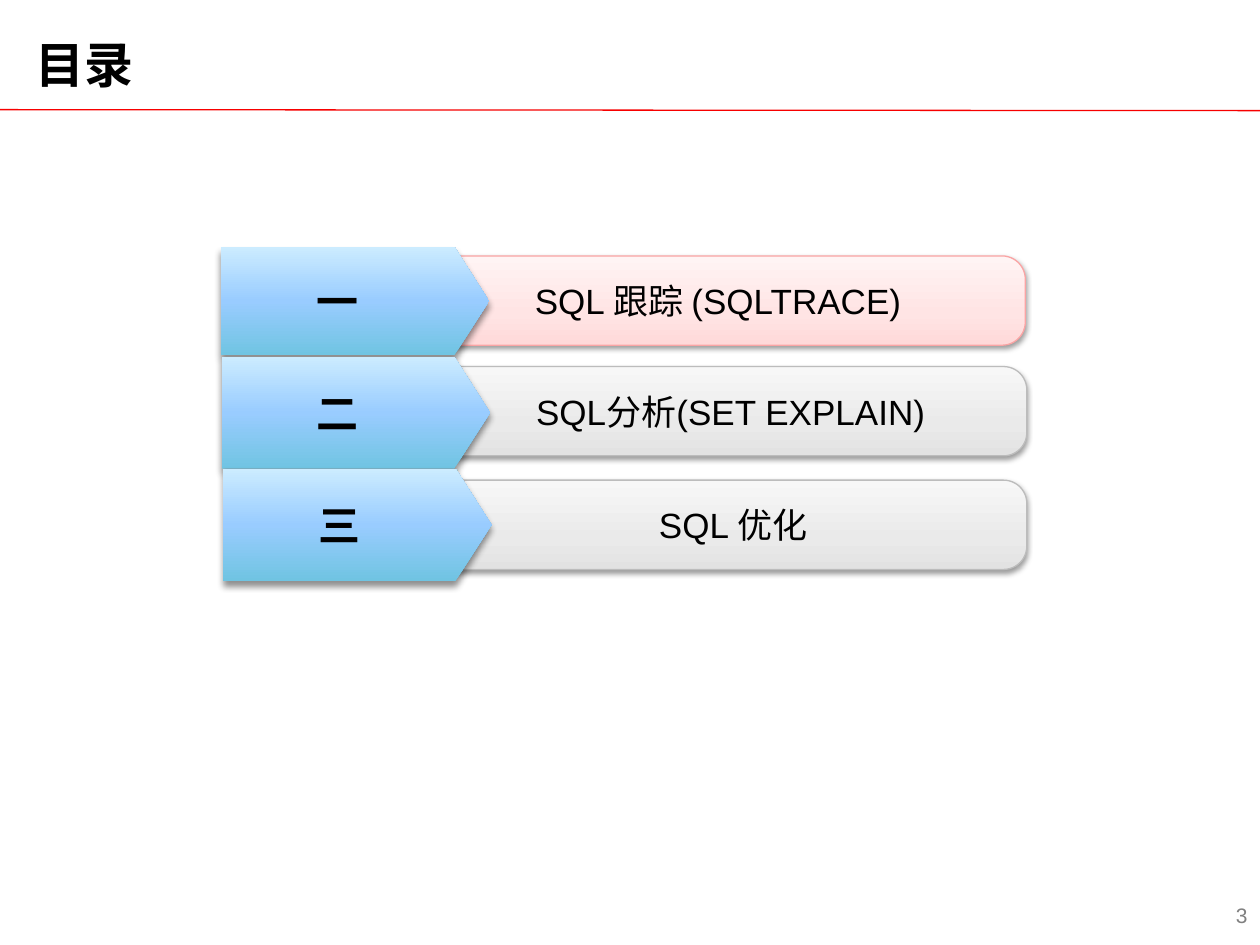
import lxml.etree
import pptx
import pptx.dml.color
import pptx.enum.shapes
import pptx.enum.text
import pptx.oxml
import pptx.oxml.ns
import pptx.util

Cm = pptx.util.Cm
Shapes = pptx.enum.shapes.MSO_SHAPE
Align = pptx.enum.text.PP_ALIGN
qn = pptx.oxml.ns.qn


def color(value):
    return pptx.dml.color.RGBColor.from_string(value)


def write(shape, text, font, size, align, bold=False, ink="000000"):
    frame = shape.text_frame
    frame.word_wrap = True
    frame.vertical_anchor = pptx.enum.text.MSO_ANCHOR.MIDDLE
    para = frame.paragraphs[0]
    para.text = text
    para.alignment = align
    para.font.name = font
    para.font.size = pptx.util.Pt(size)
    para.font.bold = bold
    para.font.color.rgb = color(ink)
    # Chinese glyphs
    for span in para.runs:
        properties = span.font._element
        east_asian = lxml.etree.SubElement(properties, qn("a:ea"))
        east_asian.set("typeface", "Noto Sans CJK SC")


deck = pptx.Presentation()
deck.slide_width, deck.slide_height = Cm(25.4), Cm(19.05)
page = deck.slides.add_slide(deck.slide_layouts[6])

# Rule below the title
rule = page.shapes.add_connector(
    pptx.enum.shapes.MSO_CONNECTOR.STRAIGHT, 0, Cm(2.21), Cm(25.4), Cm(2.23))
rule.line.color.rgb = color("F70000")
rule.line.width = pptx.util.Pt(0.75)
lxml.etree.SubElement(rule._element.spPr, qn("a:effectLst"))

# Gradient stops run from bottom to top
red = [(0, "FFD9D9"), (35, "FFE4E4"), (100, "FFF4F4")]
grey = [(0, "E2E2E2"), (35, "EAEAEA"), (100, "F7F7F7")]
blue = [(0, "70C4E2"), (50, "99CCFF"), (100, "CCECFF")]

# Each chapter: number, name, name inset, bar fill and line,
# bar left and top, arrow left, top and height
chapters = [
    ("一", "SQL 跟踪 (SQLTRACE)", 0.86, red, "FAA4A4", 7.67, 5.16, 4.45, 4.98, 2.18),
    ("二", "SQL分析(SET EXPLAIN)", 1.31, grey, "BCBCBC", 7.7, 7.39, 4.47, 7.19, 2.26),
    ("三", "SQL 优化", 1.42, grey, "BCBCBC", 7.7, 9.68, 4.5, 9.45, 2.26),
]
for (number, name, inset, bar_fill, edge, bar_left, bar_top,
     arrow_left, arrow_top, arrow_height) in chapters:
    bar = page.shapes.add_shape(
        Shapes.ROUNDED_RECTANGLE, Cm(bar_left), Cm(bar_top), Cm(13), Cm(1.8))
    bar.adjustments[0] = 0.26
    bar.line.color.rgb = color(edge)
    bar.line.width = pptx.util.Pt(0.75)
    bar.text_frame.margin_left = Cm(inset)
    write(bar, name, "Arial", 20, Align.CENTER)

    arrow = page.shapes.add_shape(
        Shapes.RIGHT_ARROW, Cm(arrow_left), Cm(arrow_top), Cm(5.41), Cm(arrow_height))
    arrow.adjustments[0] = 1
    arrow.adjustments[1] = 0.32
    arrow.line.fill.background()
    write(arrow, number, "Noto Sans CJK SC", 24, Align.CENTER, bold=True)

    # Gradient and soft shadow: opacity in percent, blur and distance in points
    for shape, stops, opacity, blur, distance in (
            (bar, bar_fill, 38, 3.1, 1.6), (arrow, blue, 43, 4, 3)):
        shape.fill.gradient()
        shape.fill.gradient_angle = 90
        stop_list = shape._element.spPr.find(".//" + qn("a:gsLst"))
        for old_stop in list(stop_list):
            stop_list.remove(old_stop)
        for position, value in stops:
            stop = lxml.etree.SubElement(stop_list, qn("a:gs"), pos=str(position * 1000))
            lxml.etree.SubElement(stop, qn("a:srgbClr"), val=value)
        shape.shadow.inherit = False
        effects = shape._element.spPr.find(qn("a:effectLst"))
        shadow = lxml.etree.SubElement(
            effects, qn("a:outerShdw"), blurRad=str(int(pptx.util.Pt(blur))),
            dist=str(int(pptx.util.Pt(distance))), dir="5400000", rotWithShape="0")
        tint = lxml.etree.SubElement(shadow, qn("a:srgbClr"), val="000000")
        lxml.etree.SubElement(tint, qn("a:alpha"), val=str(opacity * 1000))

# Page number
footer = page.shapes.add_textbox(0, Cm(17.93), Cm(25.4), Cm(1.02))
write(footer, "3", "Arial", 12, Align.RIGHT, ink="808080")

# Title
title = page.shapes.add_textbox(Cm(0.71), Cm(0.69), Cm(23.95), Cm(1.45))
frame = title.text_frame
frame.margin_left = frame.margin_right = frame.margin_top = frame.margin_bottom = 0
write(title, "目录", "Noto Sans CJK SC", 28, Align.LEFT, bold=True)
frame.vertical_anchor = pptx.enum.text.MSO_ANCHOR.TOP

deck.save("out.pptx")
